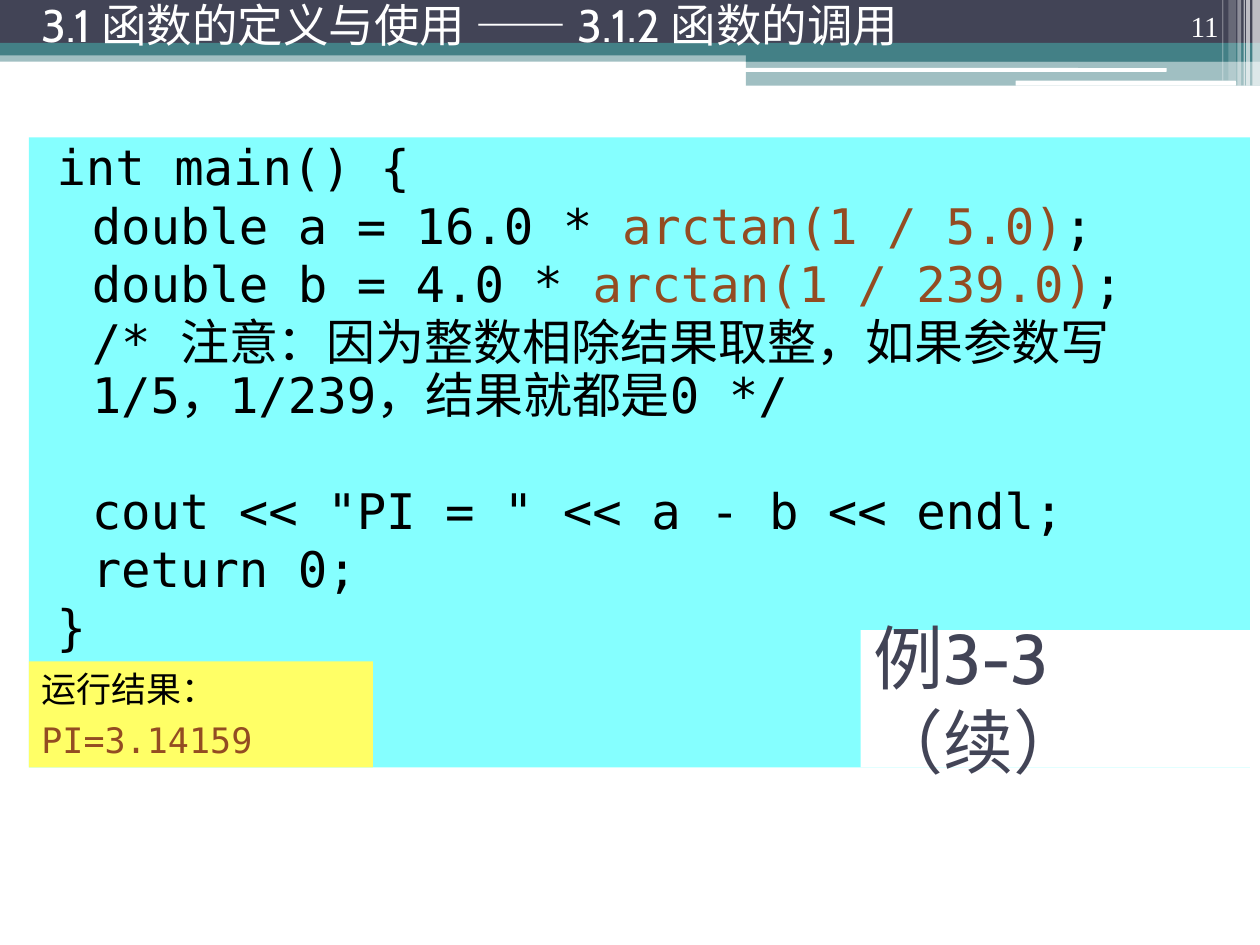
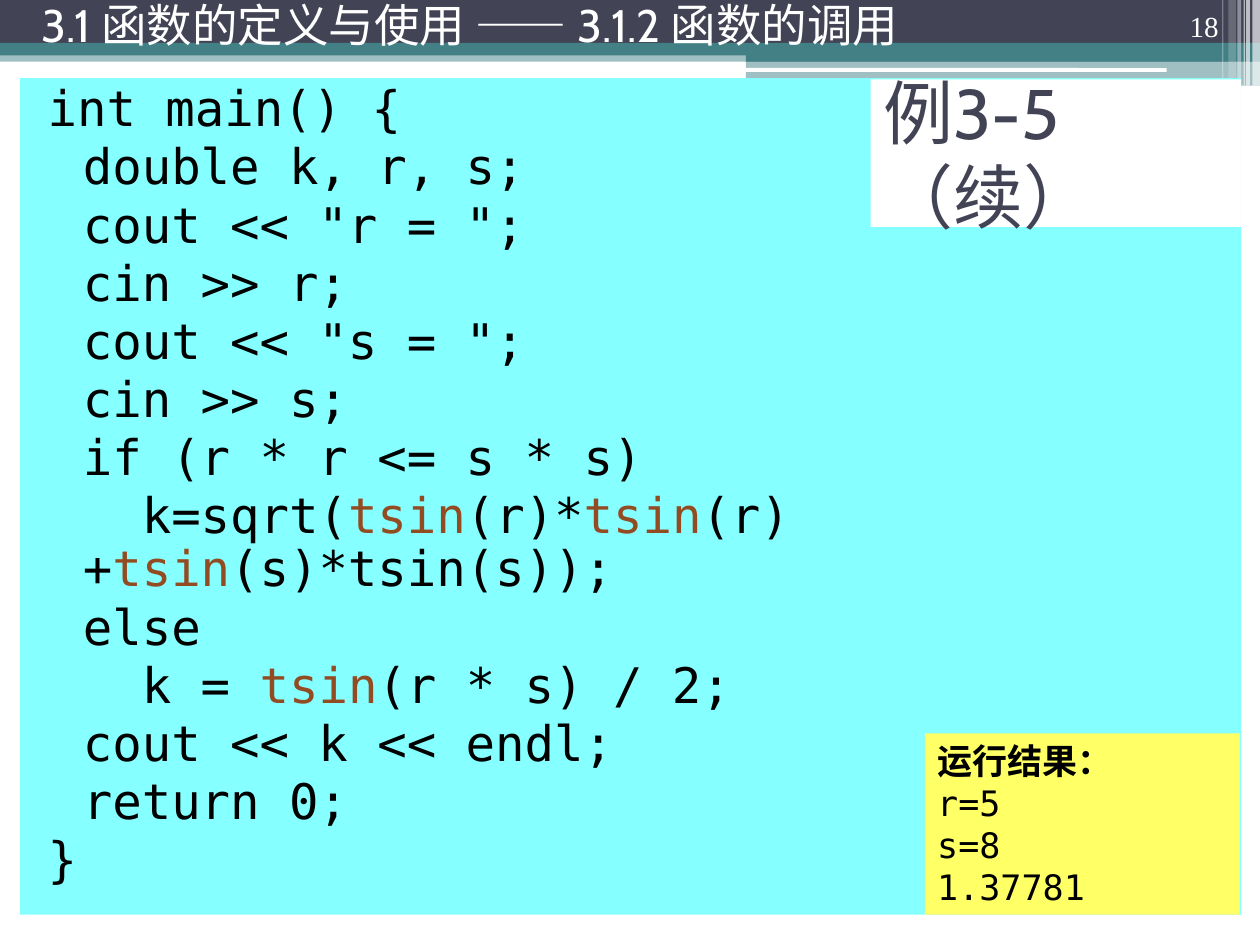
from dataclasses import dataclass

from lxml.etree import SubElement
from pptx import Presentation
from pptx.dml.color import RGBColor
from pptx.enum.shapes import MSO_SHAPE
from pptx.enum.text import MSO_ANCHOR, MSO_AUTO_SIZE, PP_ALIGN
from pptx.oxml.ns import qn
from pptx.util import Pt

PX = 9144  # EMU per px, 100 px to the inch


@dataclass(frozen=True)
class Theme:
    navy: str = "424456"
    teal: str = "438086"
    white: str = "FFFFFF"
    black: str = "000000"
    accent: str = "934C22"
    code_fill: str = "85FFFF"
    result_fill: str = "FFFF66"
    title_font: str = "Cabin"
    code_font: str = "DejaVu Sans Mono"
    number_font: str = "Times New Roman"
    title_size: float = 40
    code_size: float = 28
    heading_size: float = 26
    result_size: float = 20
    number_size: float = 16.6


T = Theme()
HEADING = "3.1 函数的定义与使用 —— 3.1.2 函数的调用"
HEADING_AT = (23, 0, 883, 47)
NUMBER_AT = (894, 0, 83, 40)
CODE_INDENT, CODE_MARGIN = 40, 12

# position, fill, opacity in percent
BANDS = [
    ((0, 40, 1000, 9), T.teal, 50),
    ((0, 0, 1000, 34), T.navy, 100),
    ((0, 34, 1000, 10), T.teal, 100),
    ((592, 39, 408, 10), T.teal, 100),
    ((592, 48, 408, 20), T.teal, 50),
    ((591, 54, 335, 3), T.white, 100),
    ((806, 64, 175, 4), T.white, 100),
    ((994, 0, 6, 68), T.white, 65),
    ((989, 0, 3, 68), T.white, 65),
    ((987, 0, 1, 68), T.white, 60),
    ((982, 0, 3, 68), T.white, 40),
    ((975, 0, 6, 64), T.white, 20),
    ((970, 0, 1, 64), T.white, 30),
]

# Text between bars takes the accent colour; a leading tab indents a code line.
SLIDES = [
    dict(
        number="11", title="例3-3 （续）", title_at=(683, 500, 309, 109),
        code_at=(23, 109, 969, 500),
        code=[
            "int main() {",
            "\tdouble a = 16.0 * |arctan(1 / 5.0)|;",
            "\tdouble b = 4.0 * |arctan(1 / 239.0)|;",
            "\t/* 注意：因为整数相除结果取整，如果参数写1/5，1/239，结果就都是0 */",
            "\tcout << \"PI = \" << a - b << endl;",
            "\treturn 0;",
            "}",
        ],
        code_gaps={4: 36},
        result_at=(23, 525, 273, 84), result=["运行结果：", "|PI=3.14159|"],
        result_gap=5, bold_label=False,
    ),
    dict(
        number="18", title="例3-5 （续）", title_at=(691, 63, 294, 117),
        code_at=(16, 62, 969, 664),
        code=[
            "int main() {",
            "\tdouble k, r, s;",
            "\tcout << \"r = \";",
            "\tcin >> r;",
            "\tcout << \"s = \";",
            "\tcin >> s;",
            "\tif (r * r <= s * s)",
            "\t  k=sqrt(|tsin|(r)*|tsin|(r)+|tsin|(s)*tsin(s));",
            "\telse",
            "\t  k = |tsin|(r * s) / 2;",
            "\tcout << k << endl;",
            "\treturn 0;",
            "}",
        ],
        code_gaps={},
        result_at=(734, 582, 250, 144),
        result=["运行结果：", "r=5", "s=8", "1.37781"],
        result_gap=0, bold_label=True,
    ),
]


def add_box(s, at, fill, kind=MSO_SHAPE.RECTANGLE):
    sp = s.shapes.add_shape(kind, *(v * PX for v in at))
    sp.shadow.inherit = False
    sp.fill.solid()
    sp.fill.fore_color.rgb = RGBColor.from_string(fill)
    sp.line.fill.background()
    return sp


def write(sp, lines, font, size, color, anchor=MSO_ANCHOR.TOP, gap=0, gaps={}, **para):
    """Fill a shape with lines; gap and gaps give the space before them in points."""
    tf = sp.text_frame
    frame = dict(word_wrap=True, auto_size=MSO_AUTO_SIZE.NONE, vertical_anchor=anchor)
    for name, value in frame.items():
        setattr(tf, name, value)
    para = dict(alignment=PP_ALIGN.LEFT) | para
    for i, line in enumerate(lines):
        p = tf.add_paragraph() if i else tf.paragraphs[0]
        p.space_before = Pt(gaps.get(i, gap if i else 0))
        for name, value in para.items():
            setattr(p, name, value)
        for j, piece in enumerate(line.split("|")):
            if piece:
                r = p.add_run()
                r.text = piece
                for name, value in dict(name=font, size=Pt(size)).items():
                    setattr(r.font, name, value)
                r.font.color.rgb = RGBColor.from_string(T.accent if j % 2 else color)


prs = Presentation()
prs.slide_width, prs.slide_height = 1000 * PX, 750 * PX
layout = prs.slide_layouts[5]
for ph in list(layout.placeholders):
    if ph.placeholder_format.idx:
        layout.shapes.element.remove(ph.element)

for data in SLIDES:
    s = prs.slides.add_slide(layout)

    # The bands are drawn once, then moved to the shared layout
    if len(prs.slides) == 1:
        bands = []
        for at, fill, opacity in BANDS:
            rounded = fill == T.white and at[2] > 100
            kind = MSO_SHAPE.ROUNDED_RECTANGLE if rounded else MSO_SHAPE.RECTANGLE
            sp = add_box(s, at, fill, kind)
            if opacity < 100:
                color = sp.element.spPr.find(qn("a:solidFill"))[0]
                SubElement(color, qn("a:alpha"), val=str(opacity * 1000))
            bands.append(sp)
        for sp in bands:
            layout.shapes.element.append(sp.element)

    code = add_box(s, data["code_at"], T.code_fill)
    write(code, [line.lstrip("\t") for line in data["code"]], T.code_font, T.code_size,
          T.black, gap=3, gaps=data["code_gaps"], line_spacing=0.9)
    for p, line in zip(code.text_frame.paragraphs, data["code"]):
        margin = CODE_INDENT if line.startswith("\t") else CODE_MARGIN
        p._p.get_or_add_pPr().set("marL", str(margin * PX))

    number = s.shapes.add_textbox(*(v * PX for v in NUMBER_AT))
    write(number, [data["number"]], T.number_font, T.number_size, T.white,
          MSO_ANCHOR.BOTTOM, alignment=PP_ALIGN.RIGHT, line_spacing=0.9)
    heading = s.shapes.add_textbox(*(v * PX for v in HEADING_AT))
    write(heading, [HEADING], T.title_font, T.heading_size, T.white,
          MSO_ANCHOR.MIDDLE, line_spacing=0.8)

    result = add_box(s, data["result_at"], T.result_fill)
    write(result, data["result"], T.code_font, T.result_size, T.black,
          gap=data["result_gap"])
    result.text_frame.paragraphs[0].runs[0].font.bold = data["bold_label"]

    title = s.shapes.title
    for name, value in zip(("left", "top", "width", "height"), data["title_at"]):
        setattr(title, name, value * PX)
    title.fill.solid()
    title.fill.fore_color.rgb = RGBColor.from_string(T.white)
    write(title, [data["title"]], T.title_font, T.title_size, T.navy, MSO_ANCHOR.MIDDLE)
    s.shapes.element.append(title.element)  # in front of the code

prs.save("out.pptx")
